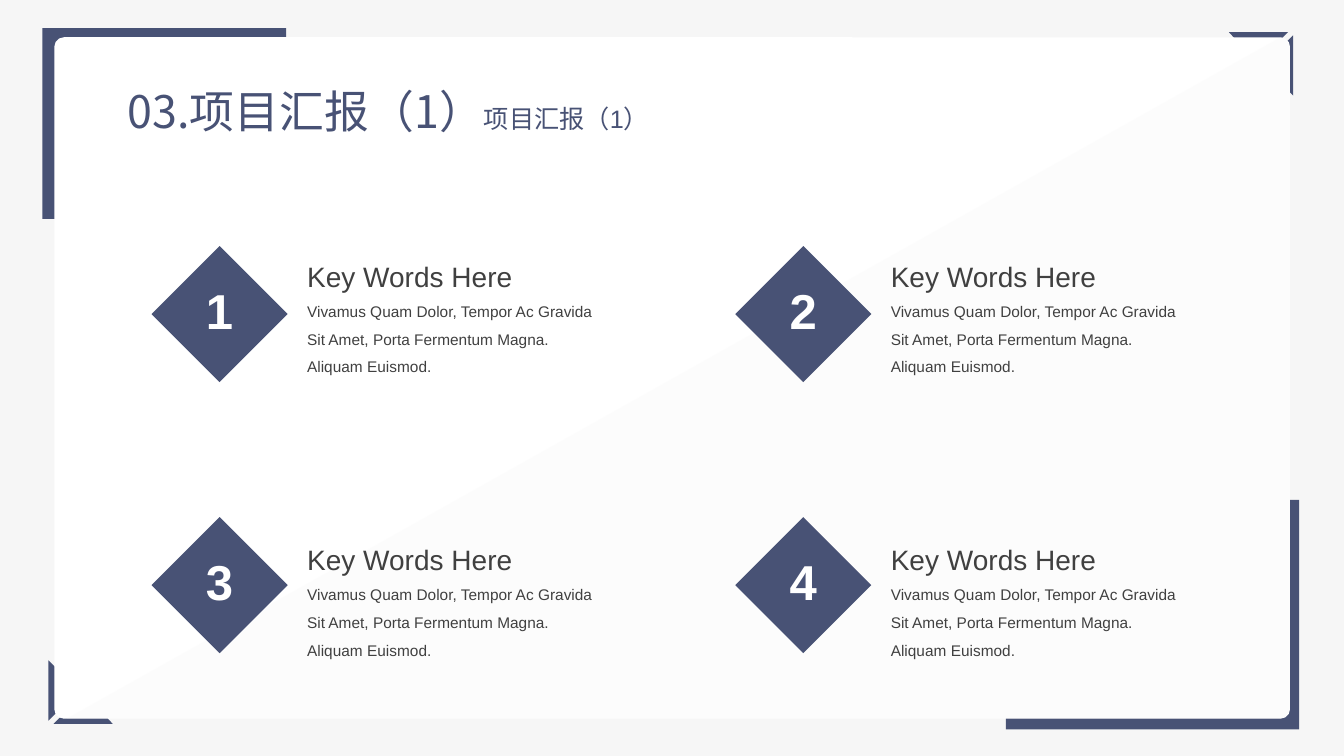
from math import cos, radians, sin

from lxml.etree import SubElement
from pptx import Presentation
from pptx.dml.color import RGBColor
from pptx.enum.shapes import MSO_SHAPE
from pptx.enum.text import MSO_ANCHOR, MSO_AUTO_SIZE, PP_ALIGN
from pptx.oxml.ns import qn
from pptx.util import Cm, Pt

COLOURS = {
    "backdrop": "F6F6F6",
    "navy": "485275",
    "white": "FFFFFF",
    "sheen": "F2F2F2",
    "text": "404040",
}
LATIN, CJK = "Arial", "Noto Sans CJK SC"
SLIDE_WIDTH, SLIDE_HEIGHT = 33.87, 19.05
PANEL_LEFT, PANEL_TOP, PANEL_RIGHT, PANEL_BOTTOM = 1.37, 0.94, 32.51, 18.11
PANEL_RADIUS = 0.24
BRACKET = [
    [(1.6, 17.02), (1.6, 17.78), (1.22, 18.16), (1.22, 16.64)],
    [(2.84, 18.24), (1.35, 18.24), (1.73, 17.86), (2.49, 17.86)],
]
DETAIL = ("Vivamus Quam Dolor, Tempor Ac Gravida Sit Amet, "
          "Porta Fermentum Magna. Aliquam Euismod.")


class SlideBuilder:
    """Hold the slide being built and the style shared by its elements."""

    def __init__(self, slide):
        self.slide = slide
        self.shapes = slide.shapes

    def colour(self, name):
        return RGBColor.from_string(COLOURS[name])

    def paint(self, shape, colour):
        shape.shadow.inherit = False
        shape.fill.solid()
        shape.fill.fore_color.rgb = self.colour(colour)
        shape.line.fill.background()
        return shape

    def background(self, colour):
        fill = self.slide.background.fill
        fill.solid()
        fill.fore_color.rgb = self.colour(colour)

    def block(self, kind, left, top, width, height, colour):
        shape = self.shapes.add_shape(
            kind, Cm(left), Cm(top), Cm(width), Cm(height))
        return self.paint(shape, colour)

    def outline(self, contours, colour):
        pen = None
        for contour in contours:
            start, *rest = [(Cm(x), Cm(y)) for x, y in contour]
            if pen is None:
                pen = self.shapes.build_freeform(*start)
            else:
                pen.move_to(*start)
            pen.add_line_segments(rest, close=True)
        return self.paint(pen.convert_to_shape(), colour)

    def run(self, paragraph, text, size, colour, font=LATIN, bold=False):
        run = paragraph.add_run()
        run.text = text
        run.font.size = Pt(size)
        run.font.bold = bold
        run.font.name = font
        run.font.color.rgb = self.colour(colour)
        SubElement(run.font._element, qn("a:ea")).set("typeface", CJK)

    def title(self, left, top, width, height, parts):
        heading = self.shapes.title
        heading.element.getparent().append(heading.element)
        heading.left, heading.top = Cm(left), Cm(top)
        heading.width, heading.height = Cm(width), Cm(height)
        frame = heading.text_frame
        frame.word_wrap = False
        frame.auto_size = MSO_AUTO_SIZE.SHAPE_TO_FIT_TEXT
        frame.vertical_anchor = MSO_ANCHOR.TOP
        line = frame.paragraphs[0]
        line.alignment = PP_ALIGN.CENTER
        for text, size, font in parts:
            self.run(line, text, size, "navy", font)

    def badge(self, left, top, size, number):
        diamond = self.block(MSO_SHAPE.DIAMOND, left, top, size, size, "navy")
        frame = diamond.text_frame
        frame.word_wrap = False
        frame.vertical_anchor = MSO_ANCHOR.MIDDLE
        frame.margin_left = frame.margin_right = Cm(0.18)
        frame.margin_top = frame.margin_bottom = Cm(0.1)
        line = frame.paragraphs[0]
        line.alignment = PP_ALIGN.CENTER
        line.line_spacing = 0.9
        self.run(line, str(number), 35, "white", bold=True)

    def passage(self, left, top, width, height, keyword, detail):
        box = self.shapes.add_textbox(
            Cm(left), Cm(top), Cm(width), Cm(height))
        frame = box.text_frame
        frame.word_wrap = True
        frame.auto_size = MSO_AUTO_SIZE.SHAPE_TO_FIT_TEXT
        heading = frame.paragraphs[0]
        heading.line_spacing = 2.0
        self.run(heading, keyword, 20, "text")
        body = frame.add_paragraph()
        body.line_spacing = 1.5
        self.run(body, detail, 11, "text")

    def sheen(self):
        right = PANEL_RIGHT - PANEL_RADIUS
        corners = [(PANEL_TOP + PANEL_RADIUS, -90),
                   (PANEL_BOTTOM - PANEL_RADIUS, 0)]
        arcs = [(right + PANEL_RADIUS * cos(radians(first + turn)),
                 centre + PANEL_RADIUS * sin(radians(first + turn)))
                for centre, first in corners for turn in range(0, 91, 15)]
        half = self.outline([[(1.68, PANEL_BOTTOM), *arcs]], "sheen")
        tint = half.fill._xPr.find(qn("a:solidFill"))[0]
        SubElement(tint, qn("a:alpha")).set("val", "16000")

    def frame(self):
        self.block(MSO_SHAPE.RECTANGLE, 1.07, 0.71, 6.14, 4.81, "navy")
        self.block(MSO_SHAPE.RECTANGLE, 25.35, 12.6, 7.39, 5.78, "navy")
        opposite = [[(33.81 - x, SLIDE_HEIGHT - y) for x, y in part]
                    for part in BRACKET]
        for bracket in (BRACKET, opposite):
            self.outline(bracket, "navy")
        height = PANEL_BOTTOM - PANEL_TOP
        panel = self.block(MSO_SHAPE.ROUNDED_RECTANGLE, PANEL_LEFT, PANEL_TOP,
                           PANEL_RIGHT - PANEL_LEFT, height, "white")
        panel.adjustments[0] = PANEL_RADIUS / height
        self.sheen()


def main():
    deck = Presentation()
    deck.slide_width, deck.slide_height = Cm(SLIDE_WIDTH), Cm(SLIDE_HEIGHT)
    report = SlideBuilder(deck.slides.add_slide(deck.slide_layouts[5]))
    report.background("backdrop")
    report.frame()
    report.title(2.26, 1.98, 15.06, 1.63,
                 [("03.项目汇报（1）", 32, CJK), ("项目汇报（1）", 18, LATIN)])
    for index in range(4):
        row, column = divmod(index, 2)
        left = 3.82 + 14.71 * column
        report.badge(left, 6.2 + 6.83 * row, 3.43, index + 1)
        report.passage(left + 3.67, 5.56 + 7.14 * row, 7.85, 4.09,
                       "Key Words Here", DETAIL)
    deck.save("out.pptx")


if __name__ == "__main__":
    main()
